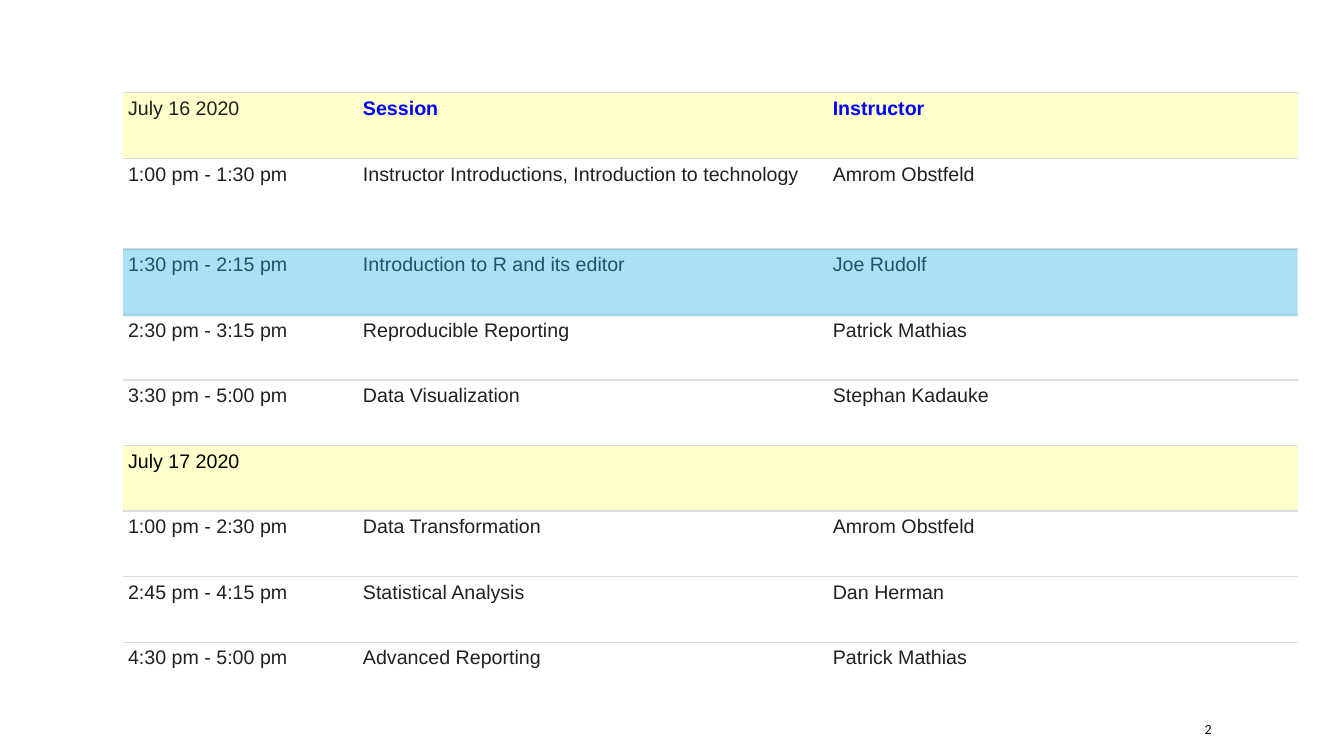
from pptx import Presentation
from pptx.util import Inches, Pt
from pptx.dml.color import RGBColor as Color
from pptx.enum.shapes import MSO_SHAPE as Shape
from pptx.enum.text import MSO_ANCHOR as Anchor
from pptx.oxml import parse_xml
from pptx.oxml.ns import nsdecls, qn
from lxml.etree import SubElement

theme = {
    "ink": "212121", "black": "000000", "link": "0000FF", "number": "0D0D0D",
    "day": "FFFFCC", "paper": "FFFFFF", "rule": "DDDDDD", "highlight": "1CADE4",
    "highlight_alpha": 37, "font": "Arial", "number_font": "Calibri",
    "size": 14, "number_size": 10,
}

schedule = [
    ("July 16 2020", "Session", "Instructor"),
    ("1:00 pm - 1:30 pm", "Instructor Introductions, Introduction to technology", "Amrom Obstfeld"),
    ("1:30 pm - 2:15 pm", "Introduction to R and its editor", "Joe Rudolf"),
    ("2:30 pm - 3:15 pm", "Reproducible Reporting", "Patrick Mathias"),
    ("3:30 pm - 5:00 pm", "Data Visualization", "Stephan Kadauke"),
    ("July 17 2020", "", ""),
    ("1:00 pm - 2:30 pm", "Data Transformation", "Amrom Obstfeld"),
    ("2:45 pm - 4:15 pm", "Statistical Analysis", "Dan Herman"),
    ("4:30 pm - 5:00 pm", "Advanced Reporting", "Patrick Mathias"),
]
left, top, unit = 1.22, 0.92, 2.33
column_units = [1, 2, 2]
row_height, tall_row_height = 0.65, 0.9
tall_row, highlight_row = 1, 2
width = unit * sum(column_units)
height = row_height * (len(schedule) - 1) + tall_row_height


def style_text(para, font, size, color, bold=False):
    para.font.name = font
    para.font.size = Pt(size)
    for span in para.runs:
        span.font.name = font
        span.font.size = Pt(size)
        span.font.bold = bold
        span.font.color.rgb = Color.from_string(color)


def set_borders(cell, visible_sides):
    for position, side in enumerate("LRTB"):
        if side in visible_sides:
            paint = f'<a:solidFill><a:srgbClr val="{theme["rule"]}"/></a:solidFill>'
        else:
            paint = "<a:noFill/>"
        line = parse_xml(f'<a:ln{side} {nsdecls("a")} w="{Pt(1)}">{paint}</a:ln{side}>')
        cell._tc.get_or_add_tcPr().insert(position, line)


deck = Presentation()
deck.slide_width, deck.slide_height = Inches(13.33), Inches(7.5)
page = deck.slides.add_slide(deck.slide_layouts[6])

table = page.shapes.add_table(
    len(schedule), len(column_units),
    Inches(left), Inches(top), Inches(width), Inches(height),
).table
table.first_row = False
table.horz_banding = False
for column, units in zip(table.columns, column_units):
    column.width = Inches(unit * units)

for row_index, entries in enumerate(schedule):
    is_day = entries[0].startswith("July")
    is_last = row_index == len(schedule) - 1
    table.rows[row_index].height = Inches(tall_row_height if row_index == tall_row else row_height)
    for column_index, words in enumerate(entries):
        cell = table.cell(row_index, column_index)
        cell.margin_left = cell.margin_right = Inches(0.05)
        cell.margin_top = cell.margin_bottom = Inches(0.05)
        cell.fill.solid()
        cell.fill.fore_color.rgb = Color.from_string(theme["day" if is_day else "paper"])
        set_borders(cell, "T" if is_last else "TB")
        cell.text_frame.text = words
        para = cell.text_frame.paragraphs[0]
        para.space_after = Pt(15)
        is_heading = row_index == 0 and column_index > 0
        color = "link" if is_heading else "black" if is_day and row_index else "ink"
        style_text(para, theme["font"], theme["size"], theme[color], is_heading)

number_box = page.shapes.add_textbox(Inches(11.85), Inches(7.08), Inches(1.06), Inches(0.3))
number_box.text_frame.word_wrap = True
number_box.text_frame.vertical_anchor = Anchor.MIDDLE
number_box.text_frame.text = "2"
style_text(number_box.text_frame.paragraphs[0], theme["number_font"], theme["number_size"], theme["number"])

highlight_top = top + row_height + tall_row_height
highlight = page.shapes.add_shape(
    Shape.RECTANGLE, Inches(left), Inches(highlight_top), Inches(width), Inches(row_height + 0.02),
)
highlight.shadow.inherit = False
highlight.line.fill.background()
highlight.fill.solid()
highlight.fill.fore_color.rgb = Color.from_string(theme["highlight"])
tint = highlight._element.spPr.find(qn("a:solidFill")).find(qn("a:srgbClr"))
SubElement(tint, qn("a:alpha")).set("val", str(theme["highlight_alpha"] * 1000))

deck.save("out.pptx")
